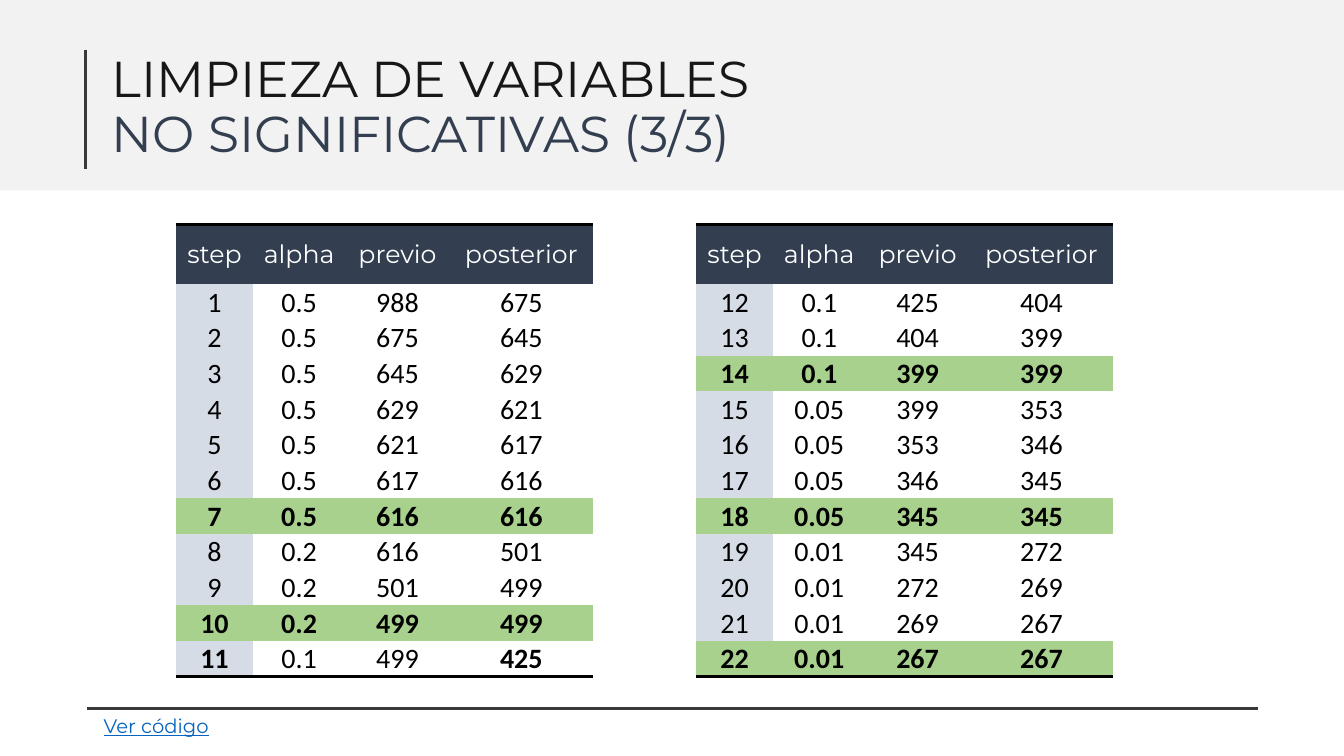
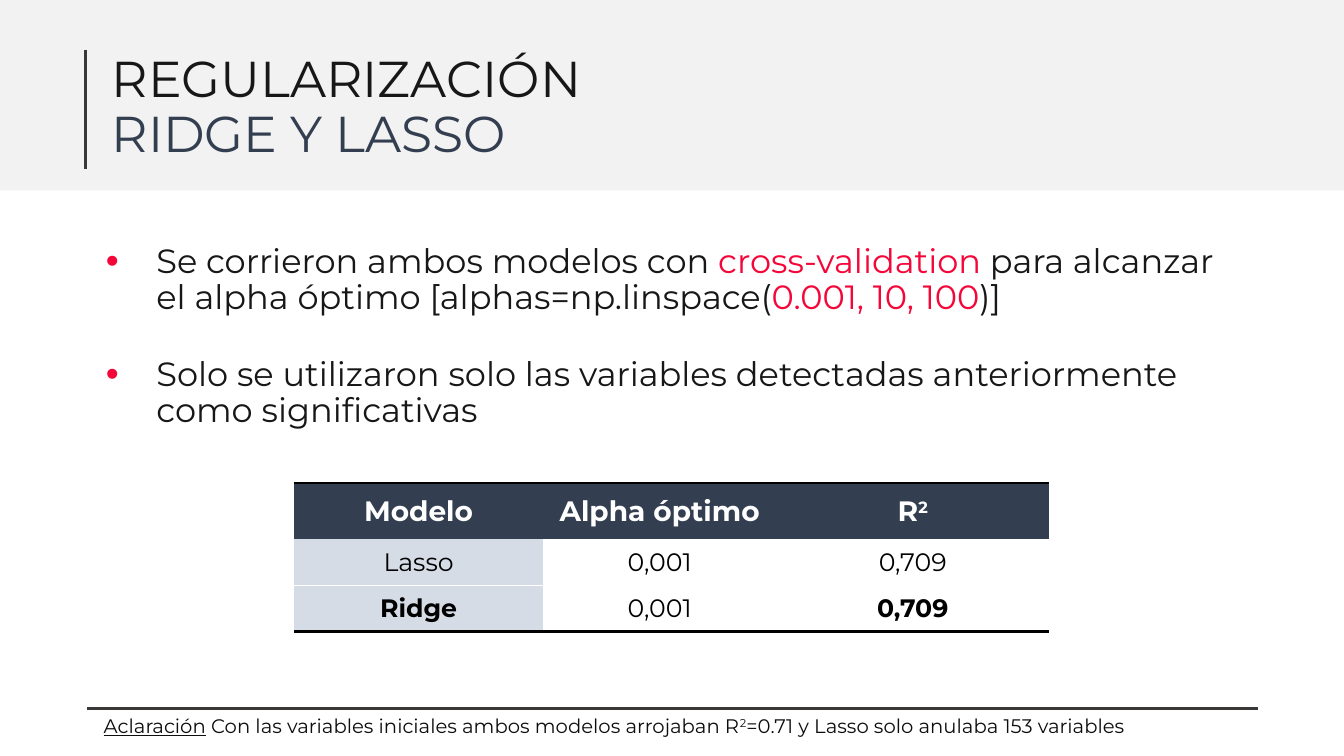
from dataclasses import dataclass
from itertools import pairwise

from lxml import etree
from pptx import Presentation
from pptx.dml.color import RGBColor
from pptx.enum.shapes import MSO_CONNECTOR, MSO_SHAPE
from pptx.enum.text import MSO_ANCHOR, MSO_AUTO_SIZE, PP_ALIGN
from pptx.oxml.ns import qn
from pptx.util import Pt

STRAIGHT, RECTANGLE = MSO_CONNECTOR.STRAIGHT, MSO_SHAPE.RECTANGLE
MIDDLE, TOP = MSO_ANCHOR.MIDDLE, MSO_ANCHOR.TOP
LEFT, CENTER = PP_ALIGN.LEFT, PP_ALIGN.CENTER
NO_AUTOFIT = MSO_AUTO_SIZE.NONE

BLACK = RGBColor(0x00, 0x00, 0x00)
WHITE = RGBColor(0xFF, 0xFF, 0xFF)
INK = RGBColor(0x18, 0x17, 0x17)
NOTE_INK = RGBColor(0x0D, 0x0D, 0x0D)
RULE_GRAY = RGBColor(0x3B, 0x38, 0x38)
BAND_GRAY = RGBColor(0xF2, 0xF2, 0xF2)
NAVY = RGBColor(0x33, 0x3F, 0x50)
PALE_BLUE = RGBColor(0xD6, 0xDC, 0xE5)
GREEN = RGBColor(0xA9, 0xD1, 0x8E)
RED = RGBColor(0xF4, 0x06, 0x39)
LINK_BLUE = RGBColor(0x05, 0x63, 0xC1)

HEADING_FONT, NUMBER_FONT = "Montserrat", "Calibri"
PLAIN_TABLE_STYLE = "{2D5ABB26-0587-4C30-8999-92F81FD0307C}"
TITLE_ONLY, TITLE_AND_BODY = 5, 1


@dataclass
class Part:
    """A stretch of text that differs from its paragraph."""
    text: str
    color: RGBColor = None
    underline: bool = None
    superscript: bool = False


def child(parent, tag, **attributes):
    return etree.SubElement(parent, qn(tag), attributes)


def border(cell, side, color, width):
    line = child(cell._tc.get_or_add_tcPr(), f"a:ln{side}", w=str(Pt(width)))
    child(child(line, "a:solidFill"), "a:srgbClr", val=str(color))


class Deck:
    def __init__(self):
        self.prs = Presentation()
        self.prs.slide_width, self.prs.slide_height = Pt(960), Pt(540)
        self.slide = None

    def new_slide(self, layout, title, subtitle):
        self.slide = self.prs.slides.add_slide(self.prs.slide_layouts[layout])
        self.band()
        self.rule(61, 35.5, 61, 120.5)
        self.rule(62, 506, 898.5, 506)
        frame = self.frame(self.slide.shapes.title, 72.5, 26, 846.5, 103.5, MIDDLE)
        self.set_text(frame.paragraphs[0], [title], 36, INK)
        self.set_text(frame.add_paragraph(), [subtitle], 36, NAVY)

    def band(self):
        band = self.slide.shapes.add_shape(RECTANGLE, 0, Pt(-3), Pt(960), Pt(139))
        band.shadow.inherit = False
        band.fill.solid()
        band.fill.fore_color.rgb = BAND_GRAY
        band.line.fill.background()
        # Behind the placeholders
        self.slide.shapes.element.insert(2, band.element)

    def rule(self, x1, y1, x2, y2):
        rule = self.slide.shapes.add_connector(STRAIGHT, Pt(x1), Pt(y1), Pt(x2), Pt(y2))
        rule.line.color.rgb = RULE_GRAY
        rule.line.width = Pt(2.25)
        child(rule.element.spPr, "a:effectLst")

    def frame(self, shape, left, top, width, height, anchor):
        shape.left, shape.top = Pt(left), Pt(top)
        shape.width, shape.height = Pt(width), Pt(height)
        frame = shape.text_frame
        frame.word_wrap = True
        frame.auto_size = NO_AUTOFIT
        frame.vertical_anchor = anchor
        return frame

    def set_text(self, paragraph, parts, size, color, font=HEADING_FONT, bold=False,
                 align=LEFT, spacing=0.9, before=0, after=0):
        paragraph.alignment = align
        paragraph.line_spacing = spacing
        paragraph.space_before, paragraph.space_after = Pt(before), Pt(after)
        style = paragraph.font
        style.name, style.size, style.bold = font, Pt(size), bold
        style.color.rgb = color
        for part in parts:
            if isinstance(part, str):
                part = Part(part)
            run = paragraph.add_run()
            run.text = part.text
            if part.color is not None:
                run.font.color.rgb = part.color
            if part.underline:
                run.font.underline = True
            if part.superscript:
                run.font._element.set("baseline", "30000")

    def bullets(self, items):
        frame = self.frame(self.slide.placeholders[1], 54.5, 148.5, 826, 184.5, MIDDLE)
        for index, parts in enumerate(items):
            paragraph = frame.add_paragraph() if index else frame.paragraphs[0]
            properties = paragraph._p.get_or_add_pPr()
            properties.set("marL", str(Pt(50)))
            properties.set("indent", str(Pt(-36)))
            child(child(properties, "a:buClr"), "a:srgbClr", val=str(RED))
            child(properties, "a:buSzPct", val="110000")
            child(properties, "a:buFont", typeface="Arial")
            child(properties, "a:buChar", char="•")
            self.set_text(paragraph, parts, 24, INK, before=24 if index else 0,
                          after=0 if index else 5)

    def footnote(self, parts, color):
        box = self.slide.shapes.add_textbox(0, 0, 0, 0)
        frame = self.frame(box, 67, 508.5, 794, 20, TOP)
        self.set_text(frame.paragraphs[0], parts, 14, color, after=18)

    def table(self, left, top, widths, heights, rows, head, body,
              bold_cells=(), green_rows=(), divider=None):
        """Rows hold lists of parts; head and body hold text styles."""
        graphic = self.slide.shapes.add_table(
            len(rows), len(widths), Pt(left), Pt(top), Pt(sum(widths)), Pt(sum(heights)))
        table = graphic.table
        table.horz_banding = False
        for style_id in graphic.element.iter(qn("a:tableStyleId")):
            style_id.text = PLAIN_TABLE_STYLE
        for column, width in zip(table.columns, widths):
            column.width = Pt(width)
        last = len(rows) - 1
        for r, (row, height) in enumerate(zip(rows, heights)):
            table.rows[r].height = Pt(height)
            for c, parts in enumerate(row):
                cell = table.cell(r, c)
                cell.vertical_anchor = MIDDLE
                cell.margin_left = cell.margin_right = cell.margin_top = Pt(0.75)
                cell.margin_bottom = 0
                # Borders come before the fill
                if r == 0:
                    border(cell, "T", BLACK, 2)
                elif divider and r > 1:
                    border(cell, "T", divider, 1)
                if r == last:
                    border(cell, "B", BLACK, 2)
                elif divider and r > 0:
                    border(cell, "B", divider, 1)
                if r == 0:
                    fill = NAVY
                elif r in green_rows:
                    fill = GREEN
                else:
                    fill = WHITE if c else PALE_BLUE
                cell.fill.solid()
                cell.fill.fore_color.rgb = fill
                style = dict(body if r else head)
                if r in green_rows or (r, c) in bold_cells:
                    style["bold"] = True
                self.set_text(cell.text_frame.paragraphs[0], parts,
                              align=CENTER, spacing=1.0, **style)


def cleaning_slide(deck):
    deck.new_slide(TITLE_ONLY, "LIMPIEZA DE VARIABLES", "NO SIGNIFICATIVAS (3/3)")
    # Each step starts from the variables that the step before left
    alphas = ["0.5"] * 7 + ["0.2"] * 3 + ["0.1"] * 4 + ["0.05"] * 4 + ["0.01"] * 4
    remaining = [988, 675, 645, 629, 621, 617, 616, 616, 501, 499, 499, 425,
                 404, 399, 399, 353, 346, 345, 345, 272, 269, 267, 267]
    steps = [(step, alpha, before, after) for step, (alpha, (before, after))
             in enumerate(zip(alphas, pairwise(remaining)), start=1)]
    header = ("step", "alpha", "previo", "posterior")
    halves = ((125.5, steps[:11], {(11, 0), (11, 3)}), (497, steps[11:], ()))
    for left, half, bold_cells in halves:
        # A step that removes nothing closes its alpha
        stable = [r for r, (_, _, before, after) in enumerate(half, start=1)
                  if before == after]
        deck.table(left, 160.5, (55.5, 65.5, 75, 102), [42.5] + [25.5] * len(half),
                   [[[str(value)] for value in row] for row in (header, *half)],
                   head={"size": 18, "color": WHITE},
                   body={"size": 20, "color": BLACK, "font": NUMBER_FONT},
                   bold_cells=bold_cells, green_rows=stable)
    deck.footnote([Part("Ver código", underline=True)], LINK_BLUE)


def regularization_slide(deck):
    deck.new_slide(TITLE_AND_BODY, "REGULARIZACIÓN", "RIDGE Y LASSO")
    deck.bullets([
        ["Se corrieron ambos modelos con ", Part("cross-validation", RED),
         " para alcanzar el alpha óptimo [alphas=np.linspace(",
         Part("0.001, 10, 100", RED), ")]"],
        ["Solo se utilizaron solo las variables detectadas anteriormente "
         "como significativas"],
    ])
    squared = Part("2", superscript=True)
    deck.table(210, 345, (178, 166.5, 195), (40, 33, 33),
               [[["Modelo"], ["Alpha óptimo"], ["R", squared]],
                [["Lasso"], ["0,001"], ["0,709"]],
                [["Ridge"], ["0,001"], ["0,709"]]],
               head={"size": 20, "color": WHITE, "bold": True},
               body={"size": 18, "color": BLACK},
               bold_cells={(2, 0), (2, 2)}, divider=WHITE)
    deck.footnote([Part("Aclaración", underline=True),
                   " Con las variables iniciales ambos modelos arrojaban R", squared,
                   "=0.71 y Lasso solo anulaba 153 variables"], NOTE_INK)


def main():
    deck = Deck()
    cleaning_slide(deck)
    regularization_slide(deck)
    deck.prs.save("out.pptx")


if __name__ == "__main__":
    main()
